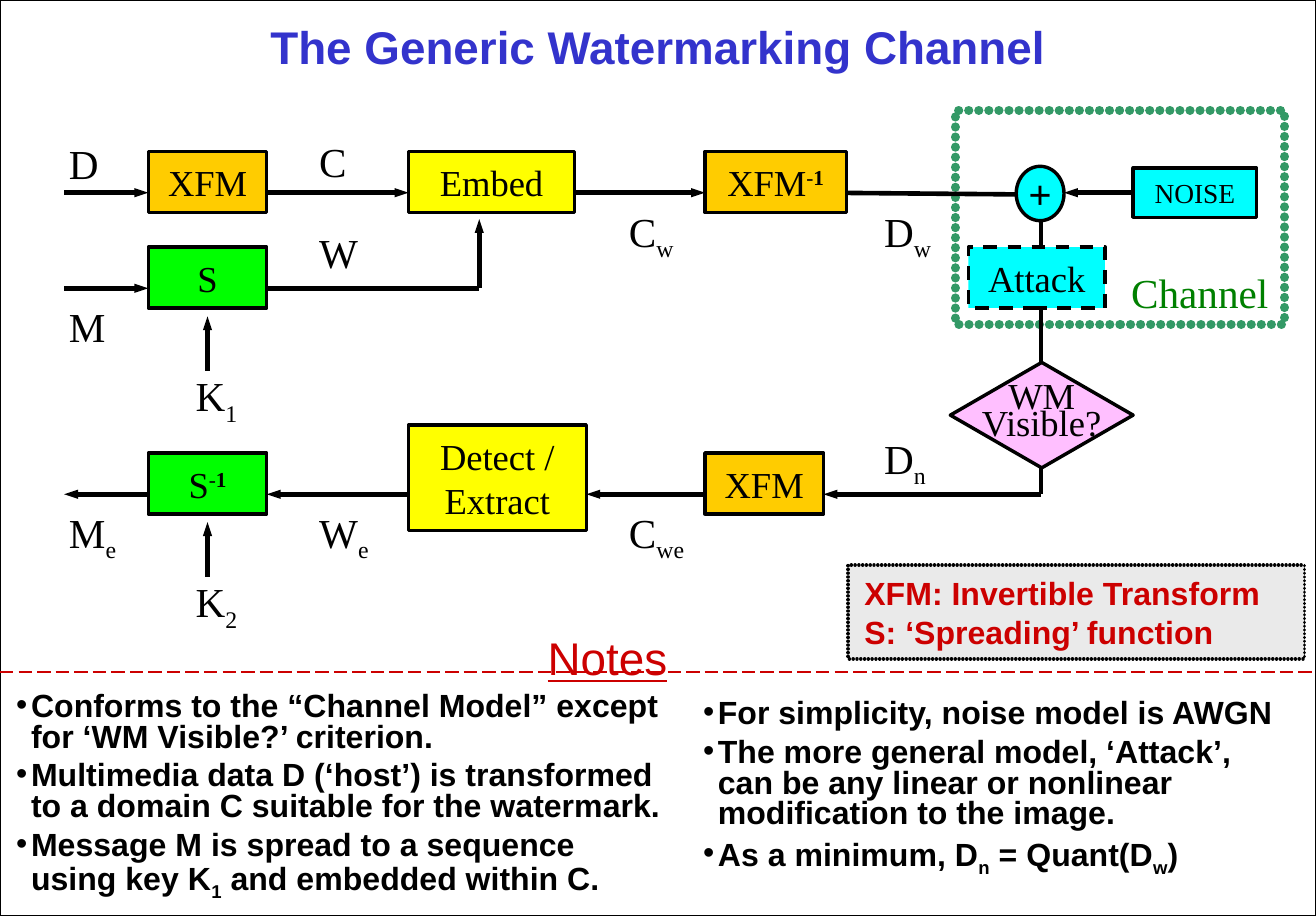
"""Build the slide showing a generic watermarking channel."""
from dataclasses import dataclass
from typing import NamedTuple, Optional

import pptx
import pptx.dml.color
import pptx.enum.dml
import pptx.enum.shapes
import pptx.enum.text
import pptx.oxml
import pptx.oxml.ns
import pptx.util

Inches = pptx.util.Inches
Align = pptx.enum.text.PP_ALIGN
Anchor = pptx.enum.text.MSO_ANCHOR
Kind = pptx.enum.shapes.MSO_SHAPE
Dash = pptx.enum.dml.MSO_LINE

WIDTH, HEIGHT = 7.99, 5.56
SERIF, SANS = "Times New Roman", "Arial"
BLACK, RED, AMBER, YELLOW = "000000", "CC0000", "FFCC00", "FFFF00"
GREEN, CYAN, PINK, GREY = "00FF00", "00FFFF", "FFBFFF", "EAEAEA"
TOP_ROW, SPREAD_ROW, BOTTOM_ROW = 1.17, 1.75, 3.0
BOX_RISE, BOX_HEIGHT = 0.25, 0.37
KEY_X, EMBED_X, CHANNEL_X = 1.26, 2.91, 6.32


class Span(NamedTuple):
    text: str
    shift: int = 0
    bold: Optional[bool] = None


class Label(NamedTuple):
    left: float
    top: float
    text: str
    subscript: str = ""


class Wire(NamedTuple):
    start: tuple[float, float]
    end: tuple[float, float]
    arrow: bool = True


@dataclass
class Block:
    left: float
    top: float
    width: float
    spans: list[Span]
    fill: Optional[str]
    height: float = BOX_HEIGHT
    kind: Kind = Kind.RECTANGLE
    size: float = 16
    dash: Optional[Dash] = None
    wrap: bool = True
    bold: bool = False
    spacing: Optional[float] = None


INVERSE = [Span("-", 30), Span("1", 30, True)]
FIRST, SPREAD, LAST = (row - BOX_RISE for row in (TOP_ROW, SPREAD_ROW, BOTTOM_ROW))
BLOCKS = [
    Block(0.9, FIRST, 0.72, [Span("XFM")], AMBER),
    Block(2.48, FIRST, 1.01, [Span("Embed")], YELLOW),
    Block(4.28, FIRST, 0.86, [Span("XFM"), *INVERSE], AMBER),
    Block(0.9, SPREAD, 0.72, [Span("S")], GREEN),
    Block(5.88, SPREAD, 0.83, [Span("Attack")], CYAN, dash=Dash.DASH),
    Block(0.9, LAST, 0.72, [Span("S"), *INVERSE], GREEN),
    Block(2.48, 2.58, 1.08, [Span("Detect / Extract")], YELLOW, height=0.64),
    Block(4.28, LAST, 0.72, [Span("XFM")], AMBER),
    Block(6.17, 1.01, 0.29, [Span("+")], CYAN, height=0.33, kind=Kind.OVAL,
          size=18, wrap=False, bold=True),
    Block(5.77, 2.2, 1.11, [Span("WM\vVisible?")], PINK, height=0.64,
          kind=Kind.DIAMOND, wrap=False, spacing=0.6),
]
WIRES = [
    Wire((0.39, TOP_ROW), (0.9, TOP_ROW)),
    Wire((1.62, TOP_ROW), (2.48, TOP_ROW)),
    Wire((3.49, TOP_ROW), (4.28, TOP_ROW)),
    Wire((5, TOP_ROW), (6.17, 1.18), arrow=False),
    Wire((0.39, SPREAD_ROW), (0.9, SPREAD_ROW)),
    Wire((1.62, SPREAD_ROW), (EMBED_X, SPREAD_ROW), arrow=False),
    Wire((EMBED_X, SPREAD_ROW), (EMBED_X, 1.33)),
    Wire((KEY_X, 2.25), (KEY_X, 1.92)),
    Wire((KEY_X, 3.5), (KEY_X, 3.17)),
    Wire((CHANNEL_X, TOP_ROW), (CHANNEL_X, BOTTOM_ROW), arrow=False),
    Wire((CHANNEL_X, BOTTOM_ROW), (5, BOTTOM_ROW)),
    Wire((4.28, BOTTOM_ROW), (3.56, BOTTOM_ROW)),
    Wire((2.48, BOTTOM_ROW), (1.62, BOTTOM_ROW)),
    Wire((0.9, BOTTOM_ROW), (0.39, BOTTOM_ROW)),
]
LABELS = [
    Label(0.32, 0.79, "D"), Label(0.32, 1.78, "M"), Label(0.32, 3.03, "M", "e"),
    Label(1.09, 2.2, "K", "1"), Label(1.09, 3.45, "K", "2"),
    Label(1.84, 0.78, "C"), Label(1.84, 1.33, "W"), Label(1.84, 3.03, "W", "e"),
    Label(3.72, 1.2, "C", "w"), Label(3.72, 3.03, "C", "we"),
    Label(5.27, 1.2, "D", "w"), Label(5.27, 2.58, "D", "n"),
]
LEFT_NOTES = [
    [Span("Conforms to the “Channel Model” except for ‘WM Visible?’ criterion.")],
    [Span("Multimedia data D (‘host’) is transformed to a domain C suitable for the watermark.")],
    [Span("Message M is spread to a sequence using key K"), Span("1", -25),
     Span(" and embedded within C.")],
]
RIGHT_NOTES = [
    [Span("For simplicity, noise model is AWGN")],
    [Span("The more general model, ‘Attack’, can be any linear or nonlinear "
          "modification to the image.")],
    [Span("As a minimum, D"), Span("n", -25), Span(" = Quant(D"), Span("w", -25), Span(")")],
]


def colour(value: str) -> pptx.dml.color.RGBColor:
    return pptx.dml.color.RGBColor.from_string(value)


def append_xml(parent, tag: str, **attributes: str):
    child = parent.makeelement(pptx.oxml.ns.qn(tag), attributes)
    parent.append(child)
    return child


def add_paragraph(frame, spans, *, size=18, font=SERIF, color=BLACK, bold=False,
                  underline=False, align=Align.LEFT, spacing=None, before=0, bullet=False):
    para = frame.paragraphs[0]
    if para.runs:
        para = frame.add_paragraph()
    para.alignment = align
    para.line_spacing = spacing
    para.space_before = pptx.util.Pt(before)
    if bullet:
        properties = para._p.get_or_add_pPr()
        properties.set("marL", str(Inches(0.09)))
        properties.set("indent", str(-Inches(0.09)))
        append_xml(properties, "a:buFont", typeface=font)
        append_xml(properties, "a:buChar", char="•")
    for span in spans:
        for index, line in enumerate(span.text.split("\v")):
            if index:
                para.add_line_break()
            run = para.add_run()
            run.text = line
            run.font.size, run.font.name = pptx.util.Pt(size), font
            run.font.bold = bold if span.bold is None else span.bold
            run.font.underline = underline
            run.font.color.rgb = colour(color)
            if span.shift:
                run.font._element.set("baseline", str(span.shift * 1000))


def add_text_box(page, left, top, width, height):
    frame = page.shapes.add_textbox(*map(Inches, (left, top, width, height))).text_frame
    frame.word_wrap = True
    return frame


def add_box(page, kind, left, top, width, height, fill=None, line=BLACK, weight=1.5,
            dash=None, dotted=False):
    box = page.shapes.add_shape(kind, *map(Inches, (left, top, width, height)))
    box.shadow.inherit = False
    if fill:
        box.fill.solid()
        box.fill.fore_color.rgb = colour(fill)
    else:
        box.fill.background()
    box.line.color.rgb = colour(line)
    box.line.width = pptx.util.Pt(weight)
    if dash:
        box.line.dash_style = dash
    if dotted:
        box.line._ln.set("cap", "rnd")
        append_xml(append_xml(box.line._ln, "a:custDash"), "a:ds", d="100000", sp="10000")
    return box


def add_block(page, block: Block):
    box = add_box(page, block.kind, block.left, block.top, block.width, block.height,
                  block.fill, dash=block.dash)
    frame = box.text_frame
    frame.word_wrap, frame.vertical_anchor = block.wrap, Anchor.MIDDLE
    add_paragraph(frame, block.spans, size=block.size, bold=block.bold,
                  align=Align.CENTER, spacing=block.spacing)
    return box


def add_wire(page, wire: Wire, color=BLACK, weight=2.0, dash=None):
    line = page.shapes.add_connector(pptx.enum.shapes.MSO_CONNECTOR.STRAIGHT,
                                     *map(Inches, (*wire.start, *wire.end)))
    line.line.color.rgb = colour(color)
    line.line.width = pptx.util.Pt(weight)
    if dash:
        line.line.dash_style = dash
    if wire.arrow:
        append_xml(line.line._ln, "a:tailEnd", type="triangle", w="sm", len="med")
    append_xml(line._element.spPr, "a:effectLst")
    return line


def add_notes(page):
    heading = add_text_box(page, 0, 3.84, 4.15, 1.66)
    add_paragraph(heading, [Span("Notes")], size=20, font=SANS, color=RED,
                  underline=True, align=Align.RIGHT, spacing=0.8, before=5)
    columns = [(heading, LEFT_NOTES), (add_text_box(page, 4.17, 4.2, 3.75, 1.3), RIGHT_NOTES)]
    for frame, notes in columns:
        for spans in notes:
            add_paragraph(frame, spans, size=14, font=SANS, bold=True,
                          spacing=0.8, before=3.5, bullet=True)


def main():
    deck = pptx.Presentation()
    deck.slide_width, deck.slide_height = Inches(WIDTH), Inches(HEIGHT)
    page = deck.slides.add_slide(deck.slide_layouts[5])
    title = page.shapes.title
    title.left, title.top, title.width, title.height = map(Inches, (0, 0, WIDTH, 0.56))
    title.text_frame.vertical_anchor = Anchor.MIDDLE
    add_paragraph(title.text_frame, [Span("The Generic Watermarking Channel")], size=20,
                  font=SANS, color="3333CC", bold=True, align=Align.CENTER)
    add_box(page, Kind.RECTANGLE, 0, 0, WIDTH, HEIGHT, weight=0.75)
    add_wire(page, Wire((0, 4.08), (WIDTH, 4.08), arrow=False), RED, 0.75, Dash.LONG_DASH)
    add_notes(page)
    channel = add_box(page, Kind.RECTANGLE, 5.8, 0.67, 2, 1.3, line="339966",
                      weight=4, dotted=True).text_frame
    channel.vertical_anchor = Anchor.BOTTOM
    add_paragraph(channel, [Span("Channel")], color="008000", align=Align.RIGHT)
    for wire in WIRES:
        add_wire(page, wire)
    for block in BLOCKS:
        add_block(page, block)
    noise = add_block(page, Block(6.88, 1.02, 0.75, [Span("NOISE")], CYAN, height=0.3, size=12))
    add_wire(page, Wire((6.88, 1.17), (6.46, 1.17))).begin_connect(noise, 1)
    for label in LABELS:
        spans = [Span(label.text)] + ([Span(label.subscript, -25)] if label.subscript else [])
        add_paragraph(add_text_box(page, label.left, label.top, 0.6, 0.42), spans)
    legend = add_box(page, Kind.RECTANGLE, 5.15, 3.43, 2.77, 0.57, GREY, dotted=True).text_frame
    for line in ("XFM: Invertible Transform", "S: ‘Spreading’ function"):
        add_paragraph(legend, [Span(line)], size=14, font=SANS, color=RED, bold=True)
    deck.save("out.pptx")


if __name__ == "__main__":
    main()
